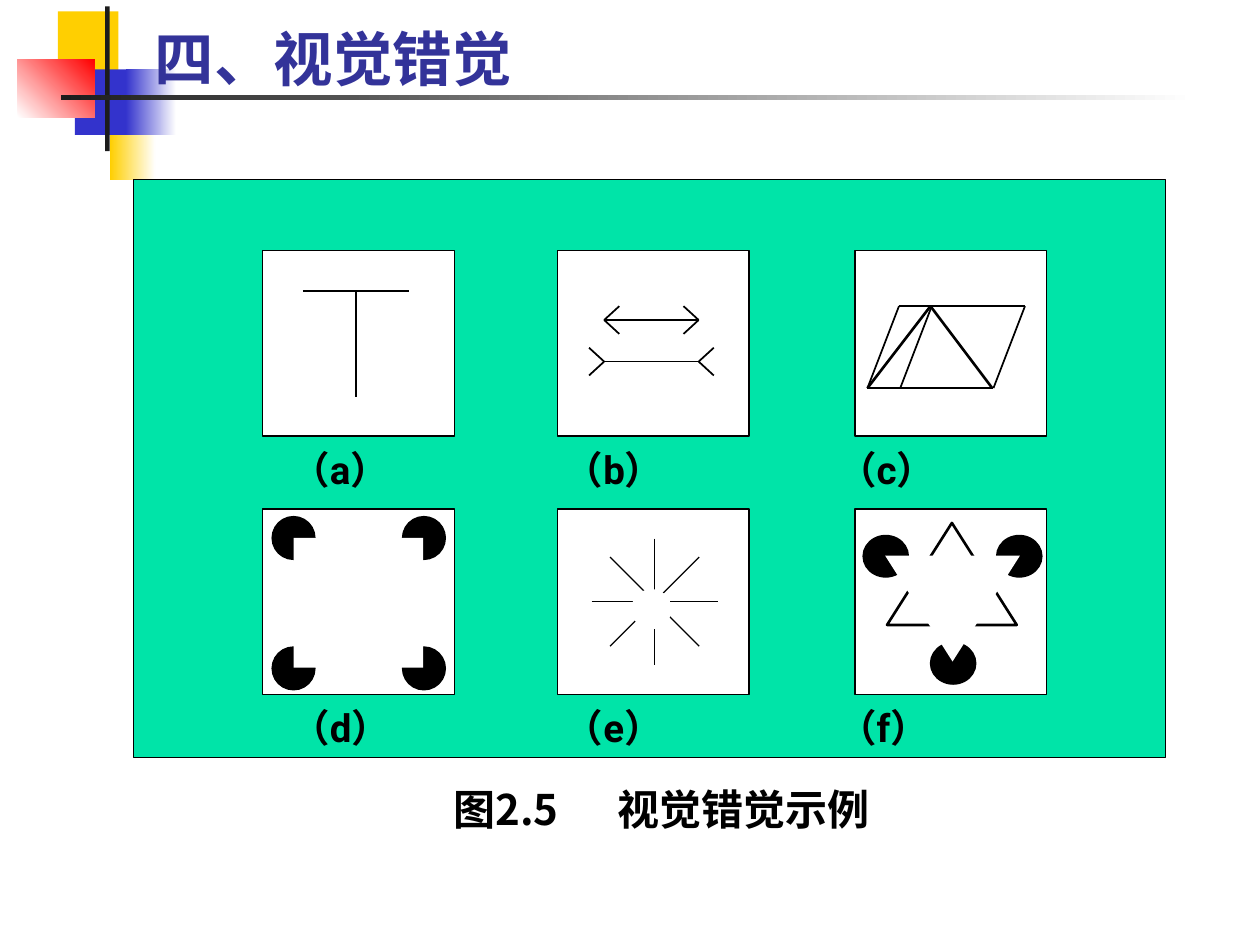
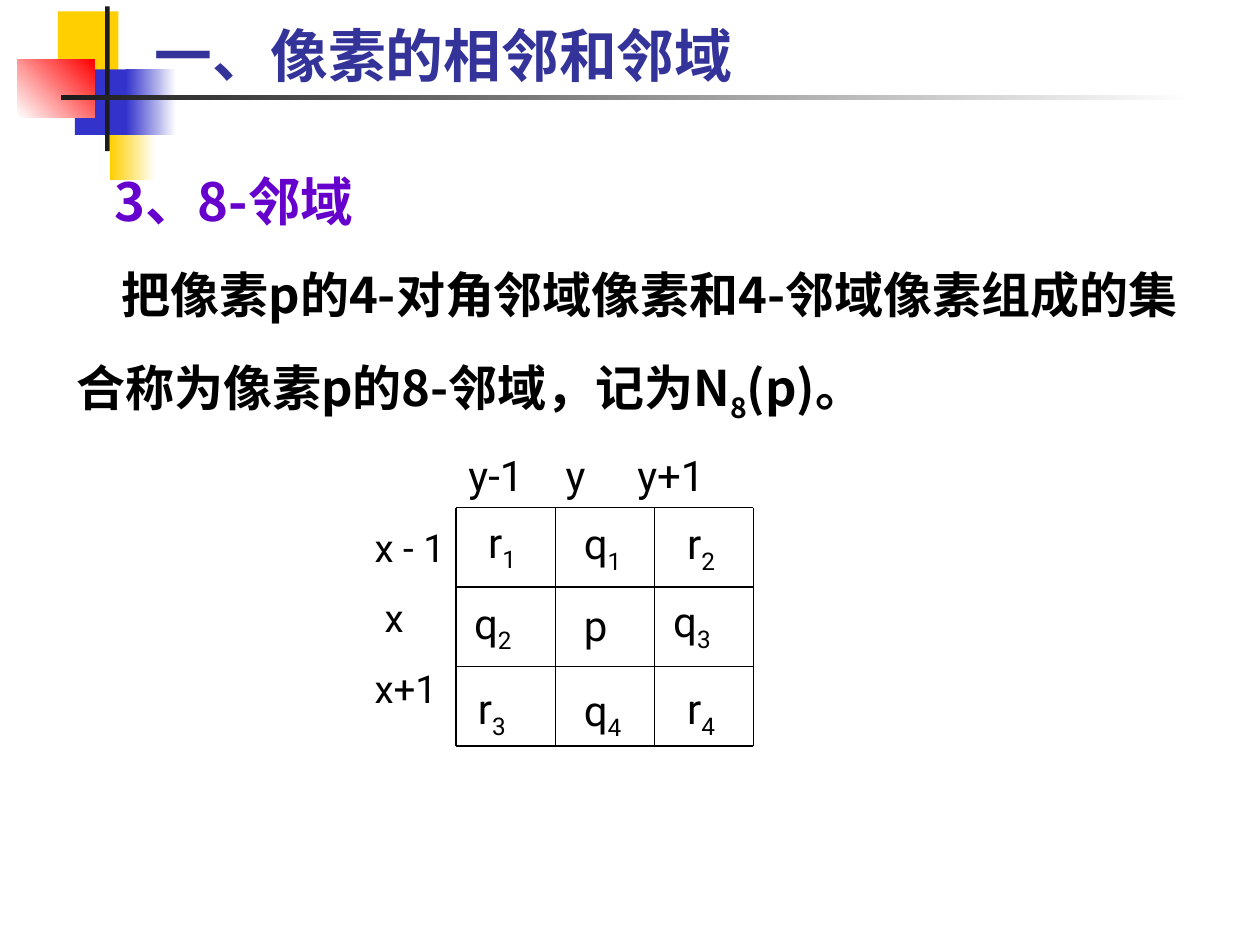
from dataclasses import dataclass
from math import cos, pi, sin

from lxml import etree
from pptx import Presentation
from pptx import util as u
from pptx.dml.color import RGBColor
from pptx.enum import shapes, text
from pptx.oxml.ns import qn

# The slide is a square grid of 100 columns by 75 rows.
WIDE, HIGH = u.Inches(10), u.Inches(7.5)
UNIT = WIDE // 100

BLACK = RGBColor(0, 0, 0)
WHITE = RGBColor(255, 255, 255)
INK = RGBColor(0x1C, 0x1C, 0x1C)
GOLD = RGBColor(0xFF, 0xCF, 0x01)
BLUE = RGBColor(0x33, 0x33, 0xCC)
RED = RGBColor(0xFF, 0, 0)
GREEN = RGBColor(0, 0xE4, 0xA8)
NAVY = RGBColor(0x33, 0x33, 0x99)
PLUM = RGBColor(0x66, 0, 0xCC)

CJK, LATIN = "Noto Sans CJK SC", "Roboto"
RECT = shapes.MSO_SHAPE.RECTANGLE
OVAL = shapes.MSO_SHAPE.OVAL
PEAK = shapes.MSO_SHAPE.ISOSCELES_TRIANGLE


@dataclass(frozen=True)
class Box:
    left: float
    top: float
    wide: float
    high: float


@dataclass(frozen=True)
class Band:
    box: Box
    start: RGBColor
    end: RGBColor | None = None
    angle: int = 0


@dataclass(frozen=True)
class Style:
    size: float
    face: str = LATIN
    color: RGBColor = BLACK
    bold: bool = False
    lead: float | None = None
    gap: float = 0
    first: float = 0
    tab: float = 0


@dataclass(frozen=True)
class Mark:
    """A pixel name and where its text starts."""
    name: str
    left: float
    top: float


BANDS = (
    Band(Box(4.6, 0.9, 4.8, 5.2), GOLD),
    Band(Box(8.75, 9.05, 3.6, 5.2), GOLD, WHITE),
    Band(Box(5.95, 5.5, 4.6, 5.2), BLUE),
    Band(Box(10, 5.5, 4, 5.2), BLUE, WHITE),
    Band(Box(1.4, 4.7, 6.1, 4.6), WHITE, RED, 45),
    Band(Box(8.35, 0.5, 0.35, 11.5), INK),
    Band(Box(4.85, 7.55, 90, 0.35), INK, WHITE),
)
MARKS = (
    Mark("r|1|", 37.75, 40.5), Mark("q|1|", 45.35, 40.6), Mark("r|2|", 53.55, 40.6),
    Mark("q|2|", 36.65, 46.9), Mark("p", 45.35, 47.1), Mark("q|3|", 52.45, 46.8),
    Mark("r|3|", 36.95, 53.7), Mark("q|4|", 45.35, 53.8), Mark("r|4|", 53.55, 53.7),
)


def span(count: float) -> u.Emu:
    """Length of a number of grid units."""
    return u.Emu(round(count * UNIT))


def place(box: Box) -> tuple[u.Emu, ...]:
    return tuple(map(span, (box.left, box.top, box.wide, box.high)))


@dataclass(frozen=True)
class Pen:
    """Draws on a slide, measuring from a corner of its own."""
    slide: object
    left: float = 0
    top: float = 0

    def shape(self, kind, box: Box, fill: RGBColor | None = None,
              edge: RGBColor | None = None, weight: float = 0.75):
        moved = Box(box.left + self.left, box.top + self.top, box.wide, box.high)
        item = self.slide.shapes.add_shape(kind, *place(moved))
        item.shadow.inherit = False
        if fill is not None:
            item.fill.solid()
            item.fill.fore_color.rgb = fill
        if edge is None:
            item.line.fill.background()
        else:
            item.line.color.rgb = edge
            item.line.width = u.Pt(weight)
        return item

    def line(self, x: float, y: float, to_x: float, to_y: float,
             weight: float = 1) -> None:
        ends = (self.left + x, self.top + y, self.left + to_x, self.top + to_y)
        item = self.slide.shapes.add_connector(
            shapes.MSO_CONNECTOR.STRAIGHT, *map(span, ends))
        item.line.color.rgb = BLACK
        item.line.width = u.Pt(weight)
        etree.SubElement(item.element.spPr, qn("a:effectLst"))


def write(frame, lines: list[str], style: Style) -> None:
    """Fill a text frame; bars enclose subscripts."""
    for row, words in enumerate(lines):
        para = frame.add_paragraph() if row else frame.paragraphs[0]
        props = para._p.get_or_add_pPr()
        if style.first:
            props.set("indent", str(span(style.first)))
        if style.tab:
            tabs = etree.SubElement(props, qn("a:tabLst"))
            etree.SubElement(tabs, qn("a:tab"), pos=str(span(style.tab)), algn="l")
        para.alignment = text.PP_ALIGN.LEFT
        para.space_before = u.Pt(style.gap if row else 0)
        if style.lead:
            para.line_spacing = style.lead
        font = para.font
        font.size, font.bold, font.name = u.Pt(style.size), style.bold, style.face
        font.color.rgb = style.color
        etree.SubElement(props.find(qn("a:defRPr")), qn("a:ea"), typeface=CJK)
        for part, piece in enumerate(words.split("|")):
            if piece:
                run = para.add_run()
                run.text = piece
                if part % 2:
                    run._r.get_or_add_rPr().set("baseline", "-25000")


def setup(frame) -> None:
    frame.word_wrap = True
    frame.auto_size = text.MSO_AUTO_SIZE.NONE
    frame.vertical_anchor = text.MSO_ANCHOR.TOP
    frame.margin_left = frame.margin_right = span(1)
    frame.margin_top = frame.margin_bottom = span(0.5)


def label(slide, box: Box, lines: list[str], style: Style):
    item = slide.shapes.add_textbox(*place(box))
    setup(item.text_frame)
    write(item.text_frame, lines, style)
    return item


def start(deck, words: str, top: float, style: Style):
    """Add a slide with the shared bands and title."""
    slide = deck.slides.add_slide(deck.slide_layouts[5])
    pen = Pen(slide)
    for band in BANDS:
        item = pen.shape(RECT, band.box, band.start)
        if band.end is not None:
            item.fill.gradient()
            item.fill.gradient_angle = band.angle
            for stop, color in zip(item.fill.gradient_stops, (band.start, band.end)):
                stop.color.rgb = color
    title = slide.shapes.title
    title.left, title.top, title.width, title.height = place(Box(11.3, top, 69.4, 6.7))
    setup(title.text_frame)
    write(title.text_frame, [words], style)
    title.element.getparent().append(title.element)
    return slide


def tee(pen: Pen) -> None:
    pen.line(3.2, 3.2, 11.6, 3.2)
    pen.line(7.4, 3.2, 7.4, 11.6)


def arrows(pen: Pen) -> None:
    for y, way in ((5.5, 1), (8.8, -1)):
        pen.line(3.7, y, 11.2, y)
        for tip, side in ((3.7, way), (11.2, -way)):
            for rise in (-1.1, 1.1):
                pen.line(tip, y, tip + side * 1.2, y + rise)


def slant(pen: Pen) -> None:
    high, low = 4.4, 10.9
    for x in (3.5, 6.1, 13.5):
        pen.line(x, high, x - 2.5, low)
    for x, y in ((3.5, high), (1, low)):
        pen.line(x, y, x + 10, y)
    for foot in (1, 10.9):
        pen.line(6, high, foot, low, 1.5)


def square(pen: Pen) -> None:
    for x in (0.75, 11.1):
        for y in (0.6, 10.95):
            pen.shape(OVAL, Box(x, y, 3.4, 3.4), BLACK, BLACK)
    pen.shape(RECT, Box(2.45, 2.3, 10.3, 10.3), WHITE)


def rays(pen: Pen) -> None:
    x, y, reach = 7.7, 7.35, 5
    for turn in range(4):
        dx, dy = reach * cos(turn * pi / 4), reach * sin(turn * pi / 4)
        pen.line(x - dx, y - dy, x + dx, y + dy, 0.75)
    pen.shape(OVAL, Box(5.9, 6.4, 3.1, 3.1), WHITE, WHITE)


def star(pen: Pen) -> None:
    pen.shape(PEAK, Box(2.55, 1.1, 10.3, 8.1), WHITE, BLACK, 1.5)
    for x, y in ((0.65, 2.1), (6, 10.6), (11.25, 2.1)):
        pen.shape(OVAL, Box(x, y, 3.6, 3.3), BLACK, BLACK)
    pen.shape(PEAK, Box(2.4, 3.7, 10.7, 8.4), WHITE).rotation = 180


def illusions(deck) -> None:
    slide = start(deck, "四、视觉错觉", 1.25, Style(34, LATIN, NAVY, True))
    Pen(slide).shape(RECT, Box(10.6, 14.25, 81.9, 45.85), GREEN, BLACK)
    lefts = (20.85, 44.25, 67.85)
    for spot, draw in enumerate((tee, arrows, slant, square, rays, star)):
        row, col = divmod(spot, 3)
        pen = Pen(slide, lefts[col], 19.9 + 20.5 * row)
        pen.shape(RECT, Box(0, 0, 15.2, 14.7), WHITE, BLACK)
        draw(pen)
        label(slide, Box(22.15 + 21.7 * col, 34.9 + 20.5 * row, 12, 4.7),
              [f"（{'abcdef'[spot]}）"], Style(22, bold=True))
    label(slide, Box(35, 61.7, 39.4, 5), ["图2.5\t视觉错觉示例"],
          Style(24, CJK, bold=True, tab=13.05))


def pixels(slide) -> None:
    pen, wide, high = Pen(slide, 36.2, 40.3), 23.6, 18.9
    for step in range(4):
        x, y = wide * step / 3, high * step / 3
        pen.line(x, 0, x, high, 0.75)
        pen.line(0, y, wide, y, 0.75)
    for mark in MARKS:
        label(slide, Box(mark.left, mark.top, 6.3, 5.6), [mark.name], Style(24))


def vicinity(deck) -> None:
    slide = start(deck, "一、像素的相邻和邻域", 1.1, Style(33, CJK, NAVY, True))
    label(slide, Box(8.1, 11.9, 83, 7), ["3、8-邻域"], Style(30, CJK, PLUM, True, 1.2))
    label(slide, Box(5.1, 18.2, 92.1, 16),
          ["把像素p的4-对角邻域像素和4-邻域像素组成的集合称为像素p的8-邻域，记为N|8|(p)。"],
          Style(28, CJK, bold=True, lead=1.5, first=3.6))
    side = label(slide, Box(28.75, 41.1, 8.7, 15.8), ["x - 1", "x", "x+1"],
                 Style(22, gap=13.8))
    side.text_frame.paragraphs[1]._p.pPr.set("marL", str(span(0.8)))
    for left, name in ((36.2, "y-1"), (43.9, "y"), (49.6, "y+1")):
        label(slide, Box(left, 35.15, 9, 5), [name], Style(24))
    pixels(slide)


def main() -> None:
    deck = Presentation()
    deck.slide_width, deck.slide_height = WIDE, HIGH
    illusions(deck)
    vicinity(deck)
    deck.save("out.pptx")


if __name__ == "__main__":
    main()
